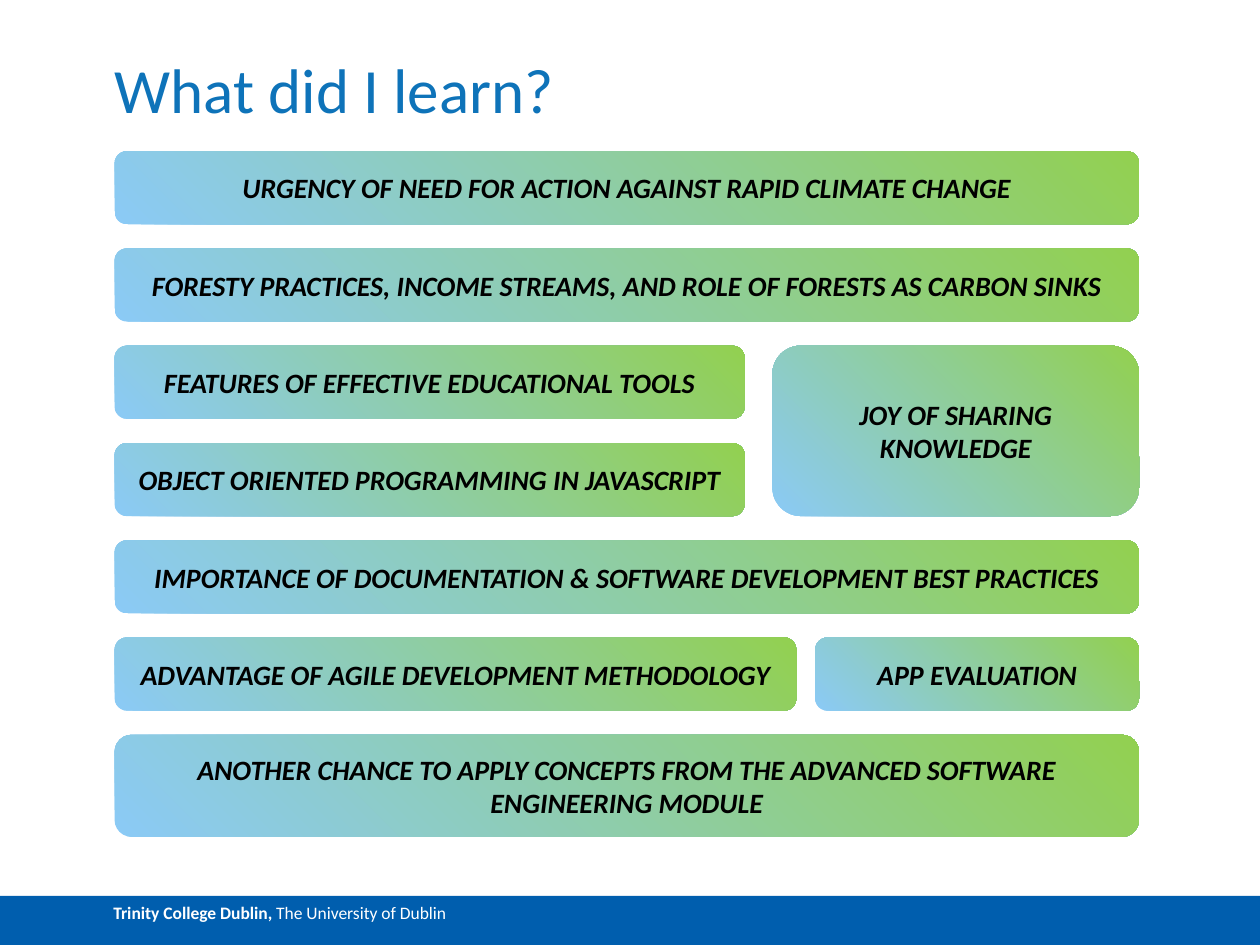
from pptx import Presentation
from pptx import util as u
from pptx.dml.color import RGBColor
from pptx.enum import shapes, text
from pptx.oxml import parse_xml
from pptx.oxml.ns import nsdecls, qn

LEFT, TOP, WIDE, HIGH, STEP = 0.91, 1.2, 8.13, 0.58, 0.772
GLOW = (
    f'<a:path {nsdecls("a")} path="circle">'
    '<a:fillToRect l="100000" b="100000"/></a:path>'
)


def tint(code):
    return RGBColor.from_string(code)


def write(frame, *runs, size=16, color="000000", font="Calibri", italic=False,
          align=text.PP_ALIGN.LEFT, anchor=text.MSO_ANCHOR.TOP,
          inset=(0.1, 0.05, 0.1, 0.05)):
    frame.word_wrap = True
    frame.vertical_anchor = anchor
    (frame.margin_left, frame.margin_top,
     frame.margin_right, frame.margin_bottom) = map(u.Inches, inset)
    para = frame.paragraphs[0]
    para.alignment = align
    for words, bold in runs:
        run = para.add_run()
        run.text = words
        run.font.name = font
        run.font.size = u.Pt(size)
        run.font.bold = bold
        run.font.italic = italic
        run.font.color.rgb = tint(color)


class Deck:
    blue, green, sky, bar = "0E73B9", "92D050", "8BCAF6", "005EAE"

    def __init__(self, slide):
        self.slide = slide

    def shape(self, kind, *box):
        item = self.slide.shapes.add_shape(kind, *map(u.Inches, box))
        item.shadow.inherit = False
        item.line.fill.background()
        return item

    def title(self, words, *box):
        item = self.slide.shapes.add_textbox(*map(u.Inches, box))
        write(item.text_frame, (words, False), size=36, color=self.blue,
              anchor=text.MSO_ANCHOR.BOTTOM, inset=(0, 0, 0, 0))

    def footer(self, *runs):
        item = self.shape(shapes.MSO_SHAPE.RECTANGLE, 0, 7.11, 10, 0.39)
        item.fill.solid()
        item.fill.fore_color.rgb = tint(self.bar)
        write(item.text_frame, *runs, size=10, color="FFFFFF",
              inset=(0.9, 0.05, 0.1, 0.05))

    def panel(self, words, *box):
        item = self.shape(shapes.MSO_SHAPE.ROUNDED_RECTANGLE, *box)
        item.fill.gradient()
        for stop, code in zip(item.fill.gradient_stops, (self.green, self.sky)):
            stop.color.rgb = tint(code)
        blend = item._element.spPr.find(qn("a:gradFill"))
        blend.replace(blend.find(qn("a:lin")), parse_xml(GLOW))
        write(item.text_frame, (words, True), italic=True,
              align=text.PP_ALIGN.CENTER, anchor=text.MSO_ANCHOR.MIDDLE)


def main():
    show = Presentation()
    show.slide_width, show.slide_height = u.Inches(10), u.Inches(7.5)
    deck = Deck(show.slides.add_slide(show.slide_layouts[6]))
    deck.footer(("Trinity College Dublin, ", True),
                ("The University of Dublin", False))
    deck.title("What did I learn?", LEFT, 0.39, 8.2, 0.61)
    lessons = [
        ("URGENCY OF NEED FOR ACTION AGAINST RAPID CLIMATE CHANGE",
         0, LEFT, WIDE, HIGH),
        ("FORESTY PRACTICES, INCOME STREAMS, AND ROLE OF FORESTS AS CARBON SINKS",
         1, LEFT, WIDE, HIGH),
        ("FEATURES OF EFFECTIVE EDUCATIONAL TOOLS", 2, LEFT, 5, HIGH),
        ("OBJECT ORIENTED PROGRAMMING IN JAVASCRIPT", 3, LEFT, 5, HIGH),
        ("IMPORTANCE OF DOCUMENTATION & SOFTWARE DEVELOPMENT BEST PRACTICES",
         4, LEFT, WIDE, HIGH),
        ("ADVANTAGE OF AGILE DEVELOPMENT METHODOLOGY", 5, LEFT, 5.41, HIGH),
        ("ANOTHER CHANCE TO APPLY CONCEPTS FROM THE ADVANCED SOFTWARE "
         "ENGINEERING MODULE", 6, LEFT, WIDE, 0.81),
        ("JOY OF SHARING KNOWLEDGE", 2, 6.13, 2.91, STEP + HIGH),
        ("APP EVALUATION", 5, 6.47, 2.57, HIGH),
    ]
    for words, row, left, wide, high in lessons:
        deck.panel(words, left, TOP + row * STEP, wide, high)
    show.save("out.pptx")


if __name__ == "__main__":
    main()
